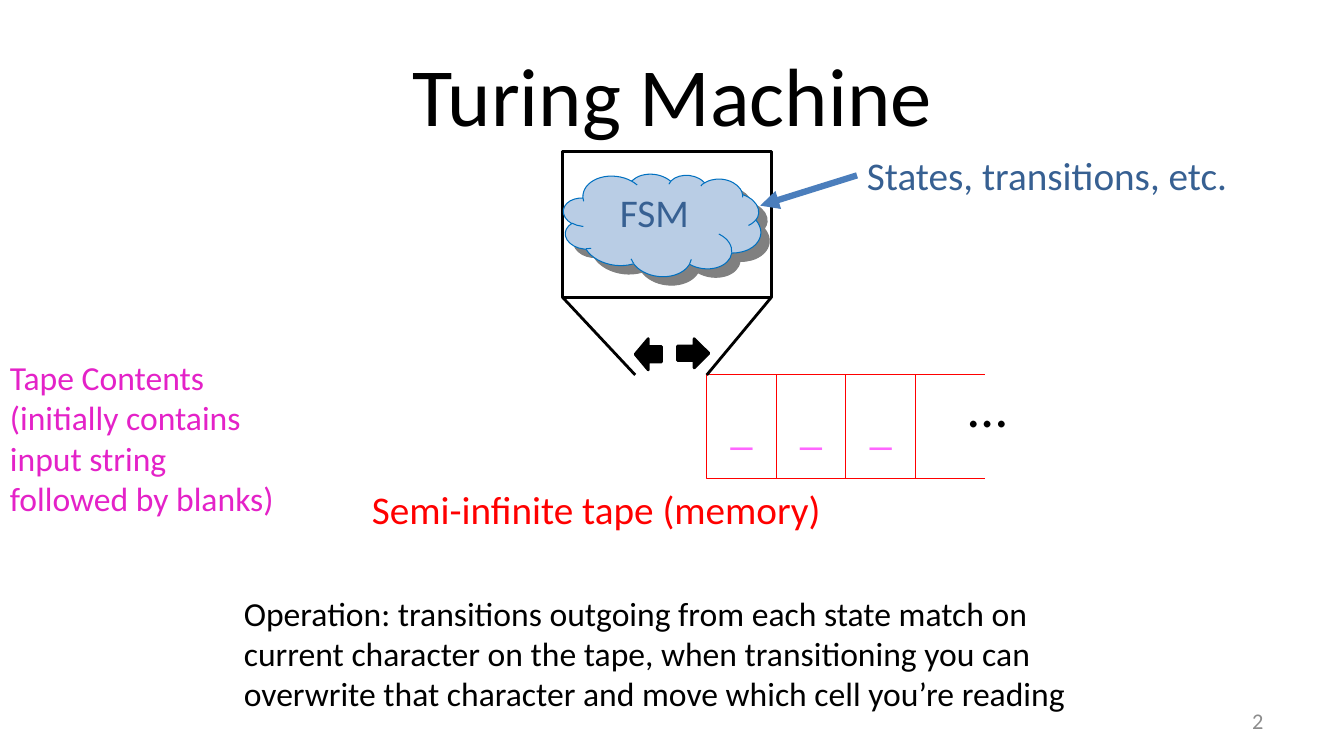
import pptx
import pptx.util
import pptx.dml.color
import pptx.enum.shapes
import pptx.enum.text
import pptx.oxml
import pptx.oxml.ns

SHAPE = pptx.enum.shapes.MSO_SHAPE
ALIGN = pptx.enum.text.PP_ALIGN
ANCHOR = pptx.enum.text.MSO_ANCHOR
FIT = pptx.enum.text.MSO_AUTO_SIZE

COLORS = {
    "black": "000000",
    "grey": "8C8C8C",
    "shadow": "808080",
    "red": "FF0000",
    "pink": "FF66FF",
    "magenta": "E422C8",
    "navy": "376092",
    "blue": "4B7EBC",
    "cloud": "B9CDE5",
    "cloud_edge": "0070C0",
}


class Board:
    font = "Calibri"
    scale = 9144

    def __init__(self, prs):
        self.slide = prs.slides.add_slide(prs.slide_layouts[5])
        self.shapes = self.slide.shapes

    def px(self, *values):
        return [pptx.util.Emu(v * self.scale) for v in values]

    def color(self, name):
        return pptx.dml.color.RGBColor.from_string(COLORS[name])

    def start_group(self):
        self.shapes = self.slide.shapes.add_group_shape().shapes

    def end_group(self):
        self.shapes = self.slide.shapes

    def fill_text(self, sp, lines, size, color, align=ALIGN.LEFT, anchor=ANCHOR.TOP,
                  inset=(10, 5), wrap=True, fit=FIT.NONE):
        tf = sp.text_frame
        tf.word_wrap = wrap
        tf.auto_size = fit
        tf.vertical_anchor = anchor
        tf.margin_left, tf.margin_top = self.px(*inset)
        tf.margin_right, tf.margin_bottom = self.px(*inset)
        tf.text = "\n".join(lines)
        for p in tf.paragraphs:
            p.alignment = align
            p.font.name = self.font
            p.font.size = pptx.util.Pt(size)
            p.font.color.rgb = self.color(color)

    def title(self, text, box, size):
        sp = self.slide.shapes.title
        sp.left, sp.top, sp.width, sp.height = self.px(*box)
        self.fill_text(sp, [text], size, "black", ALIGN.CENTER, ANCHOR.MIDDLE, (13, 7))

    def text(self, lines, box, size, color, **style):
        sp = self.shapes.add_textbox(*self.px(*box))
        self.fill_text(sp, lines, size, color, **style)

    def label(self, text, box, color):
        self.text([text], box, 28, color, inset=(10, 0), wrap=False,
                  fit=FIT.SHAPE_TO_FIT_TEXT)

    def shape(self, kind, box, line, width, fill=None):
        sp = self.shapes.add_shape(kind, *self.px(*box))
        sp.shadow.inherit = False
        if fill:
            sp.fill.solid()
            sp.fill.fore_color.rgb = self.color(fill)
        else:
            sp.fill.background()
        sp.line.color.rgb = self.color(line)
        sp.line.width = pptx.util.Pt(width)
        return sp

    def drop_shadow(self, sp, color, distance, angle):
        effects = sp._element.spPr.find(pptx.oxml.ns.qn("a:effectLst"))
        effects.append(pptx.oxml.parse_xml(
            f'<a:outerShdw {pptx.oxml.ns.nsdecls("a")} dist="{pptx.util.Pt(distance)}" '
            f'dir="{angle * 60000}" algn="ctr" rotWithShape="0">'
            f'<a:srgbClr val="{COLORS[color]}"/></a:outerShdw>'))

    def line(self, start, end, color, width, arrow=False):
        cn = self.shapes.add_connector(
            pptx.enum.shapes.MSO_CONNECTOR.STRAIGHT, *self.px(*start, *end))
        cn.line.color.rgb = self.color(color)
        cn.line.width = pptx.util.Pt(width)
        ns = pptx.oxml.ns.nsdecls("a")
        if arrow:
            ln = cn._element.spPr.find(pptx.oxml.ns.qn("a:ln"))
            ln.append(pptx.oxml.parse_xml(f'<a:tailEnd {ns} type="triangle"/>'))
        cn._element.spPr.append(pptx.oxml.parse_xml(f"<a:effectLst {ns}/>"))


def draw_tape(board):
    left, top, cell_w, cell_h, cells = 701, 372, 69, 103, 3
    board.start_group()
    for i in range(cells):
        box = (left + i * cell_w, top, cell_w, cell_h)
        sp = board.shape(SHAPE.RECTANGLE, box, "red", 0.75)
        board.fill_text(sp, ["_"], 32, "pink", ALIGN.CENTER, ANCHOR.MIDDLE, (0, 0))
    end = left + cells * cell_w
    for y in (top, top + cell_h):
        board.line((end, y), (end + cell_w, y), "red", 0.75)
    board.text(["…"], (951, 364, 54, 77), 40, "black")
    board.end_group()


def draw_head(board):
    board.start_group()
    board.shape(SHAPE.RECTANGLE, (558, 150, 207, 145), "black", 2)
    cloud = board.shape(SHAPE.CLOUD, (558, 171, 197, 103), "cloud_edge", 0.75, "cloud")
    cloud.rotation = 6.5
    board.drop_shadow(cloud, "shadow", 8.5, 45)
    board.label("FSM", (605, 187, 89, 47), "navy")
    for tip, corner in ((630, 558), (701, 765)):
        board.line((tip, 372), (corner, 295), "black", 2)
    board.shape(SHAPE.RIGHT_ARROW, (672, 336, 31, 29), "black", 2, "black")
    board.shape(SHAPE.LEFT_ARROW, (630, 336, 26, 31), "black", 2, "black")
    board.end_group()


def main():
    prs = pptx.Presentation()
    prs.slide_width = pptx.util.Inches(13.33)
    prs.slide_height = pptx.util.Inches(7.5)
    board = Board(prs)
    board.title("Turing Machine", (67, 30, 1200, 125), 59)
    board.text(["2"], (955, 695, 311, 40), 16, "grey", align=ALIGN.RIGHT,
               anchor=ANCHOR.MIDDLE, inset=(13, 7))
    draw_tape(board)
    draw_head(board)
    board.label("States, transitions, etc.", (850, 150, 382, 47), "navy")
    board.line((850, 174), (754, 204), "blue", 4.5, arrow=True)
    board.label("Semi-infinite tape (memory)", (359, 481, 470, 47), "red")
    board.text(["Tape Contents", "(initially contains input string followed by blanks)"],
               (0, 349, 291, 172), 24, "magenta")
    board.text(["Operation: transitions outgoing from each state match on current "
                "character on the tape, when transitioning you can overwrite that "
                "character and move which cell you’re reading"],
               (232, 583, 879, 131), 24, "black")
    prs.save("out.pptx")


if __name__ == "__main__":
    main()
